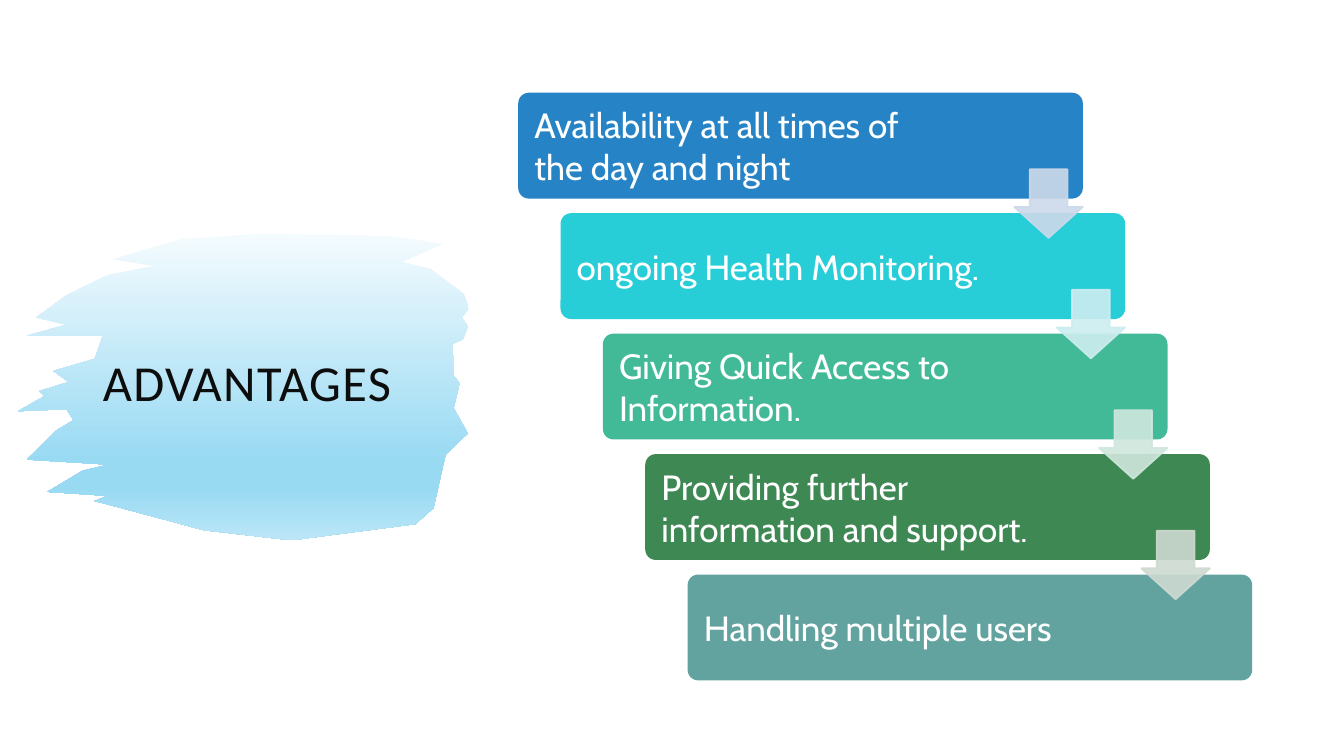
from lxml import etree
from pptx import Presentation
from pptx.dml.color import RGBColor
from pptx.enum.shapes import MSO_SHAPE
from pptx.enum.text import MSO_ANCHOR, MSO_AUTO_SIZE, PP_ALIGN
from pptx.oxml.ns import qn
from pptx.util import Inches, Pt

ROUNDED, DOWN_ARROW = MSO_SHAPE.ROUNDED_RECTANGLE, MSO_SHAPE.DOWN_ARROW
MIDDLE, LEFT, NO_AUTOFIT = MSO_ANCHOR.MIDDLE, PP_ALIGN.LEFT, MSO_AUTO_SIZE.NONE

# Content: text, bar colour, colour of the arrow to the next step
TITLE = "ADVANTAGES"
ADVANTAGES = [
    ("Availability at all times of the day and night", "2683C6", "CDD9EA"),
    ("ongoing Health Monitoring.", "27CED7", "CDEDF0"),
    ("Giving Quick Access to Information.", "42BA97", "CFE7DD"),
    ("Providing further information and support.", "3E8853", "CEDAD1"),
    ("Handling multiple users", "62A39F", None),
]

# Brush stroke: gradient stops (percent, colour) and outline in inches
BRUSH_STOPS = [(0, "F4FBFE"), (74, "99DAF3"), (83, "99DAF3"), (100, "BBE6F7")]
BRUSH_OUTLINE = [
    # top and right edges
    (2.59, 2.32), (3.85, 2.34), (4.39, 2.42), (3.98, 2.6), (4.27, 2.67),
    (4.6, 2.92), (4.65, 3.06), (4.58, 3.15), (4.64, 3.24), (4.59, 3.37),
    (4.49, 3.41), (4.5, 3.73), (4.56, 3.8), (4.5, 4.05), (4.64, 4.3),
    (4.42, 4.51), (4.3, 5.04), (4.12, 5.2),
    # bottom edge
    (2.89, 5.36), (2.02, 5.26), (1.54, 5.13), (0.94, 4.97), (1.07, 4.92),
    (0.47, 4.88), (0.82, 4.67), (1.08, 4.61),
    # left edge
    (0.27, 4.56), (0.56, 4.27), (0.73, 4.17), (0.66, 4.06), (0.18, 4.08),
    (0.44, 3.93), (0.39, 3.88), (0.68, 3.79), (0.53, 3.68), (0.94, 3.56),
    (1.02, 3.33), (0.27, 3.33), (0.66, 3.22), (0.36, 3.15), (0.66, 2.93),
    (1.07, 2.73), (1.54, 2.64), (1.13, 2.57), (1.81, 2.37),
]

# Staircase geometry in inches
BAR_LEFT, BAR_TOP, BAR_WIDTH, BAR_HEIGHT = 5.14, 0.92, 5.6, 1.05
STEP_X, STEP_Y = 0.42, 1.195
ARROW_SIZE, ARROW_DROP = 0.68, 0.76
TEXT_LEFT, TEXT_WIDTH = 0.13, 4.14


def rgb(color):
    return RGBColor.from_string(color)


def add_filled(shapes, preset, box, color, adjustments):
    shape = shapes.add_shape(preset, *map(Inches, box))
    shape.shadow.inherit = False
    shape.fill.solid()
    shape.fill.fore_color.rgb = rgb(color)
    shape.line.fill.background()
    for i, value in enumerate(adjustments):
        shape.adjustments[i] = value
    return shape


def add_run(paragraph, text, font, size, color):
    run = paragraph.add_run()
    run.text = text
    run.font.name, run.font.size = font, Pt(size)
    run.font.color.rgb = rgb(color)
    return run


prs = Presentation()
prs.slide_width, prs.slide_height = Inches(13.33), Inches(7.5)
slide = prs.slides.add_slide(prs.slide_layouts[5])
shapes = slide.shapes

# Brush stroke, placed behind the title
outline = [(Inches(x), Inches(y)) for x, y in BRUSH_OUTLINE]
builder = shapes.build_freeform(*outline[0], scale=1.0)
builder.add_line_segments(outline[1:])
brush = builder.convert_to_shape()
brush.shadow.inherit = False
brush.line.fill.background()
brush.fill.gradient()
brush.fill.gradient_angle = 270
stop_list = brush._element.spPr.find(".//" + qn("a:gsLst"))
stop_list.clear()
for percent, color in BRUSH_STOPS:
    stop = etree.SubElement(stop_list, qn("a:gs"), pos=str(percent * 1000))
    etree.SubElement(stop, qn("a:srgbClr"), val=color)

# Title
title = shapes.title
title._element.addprevious(brush._element)
title.left, title.top, title.width, title.height = map(Inches, (0.92, 1.64, 3.52, 4.4))
title_frame = title.text_frame
title_frame.auto_size = NO_AUTOFIT
title_frame.word_wrap = True
title_frame.vertical_anchor = MIDDLE
heading = title_frame.paragraphs[0]
heading.alignment = LEFT
heading.line_spacing = 0.8
heading_run = add_run(heading, TITLE, "Calibri", 36, "0D0D0D")
heading_run.font._element.set("spc", "100")

# Staircase of advantages
for step, (text, bar_color, _) in enumerate(ADVANTAGES):
    box = (BAR_LEFT + step * STEP_X, BAR_TOP + step * STEP_Y, BAR_WIDTH, BAR_HEIGHT)
    bar = add_filled(shapes, ROUNDED, box, bar_color, [0.1])
    frame = bar.text_frame
    frame.word_wrap = True
    frame.vertical_anchor = MIDDLE
    frame.margin_left = Inches(TEXT_LEFT)
    frame.margin_right = Inches(BAR_WIDTH - TEXT_LEFT - TEXT_WIDTH)
    frame.paragraphs[0].alignment = LEFT
    add_run(frame.paragraphs[0], text, "Cabin", 25, "FFFFFF")

# Arrows from each step to the next, on top of the bars
for step, (_, _, arrow_color) in enumerate(ADVANTAGES[:-1]):
    box = (BAR_LEFT + step * STEP_X + BAR_WIDTH - ARROW_SIZE,
           BAR_TOP + step * STEP_Y + ARROW_DROP, ARROW_SIZE, ARROW_SIZE)
    arrow = add_filled(shapes, DOWN_ARROW, box, arrow_color, [0.55, 0.45])
    arrow.line.color.rgb = rgb(arrow_color)
    arrow.line.width = Pt(1.25)
    for tint in arrow._element.spPr.iter(qn("a:srgbClr")):
        etree.SubElement(tint, qn("a:alpha"), val="90000")

prs.save("out.pptx")
